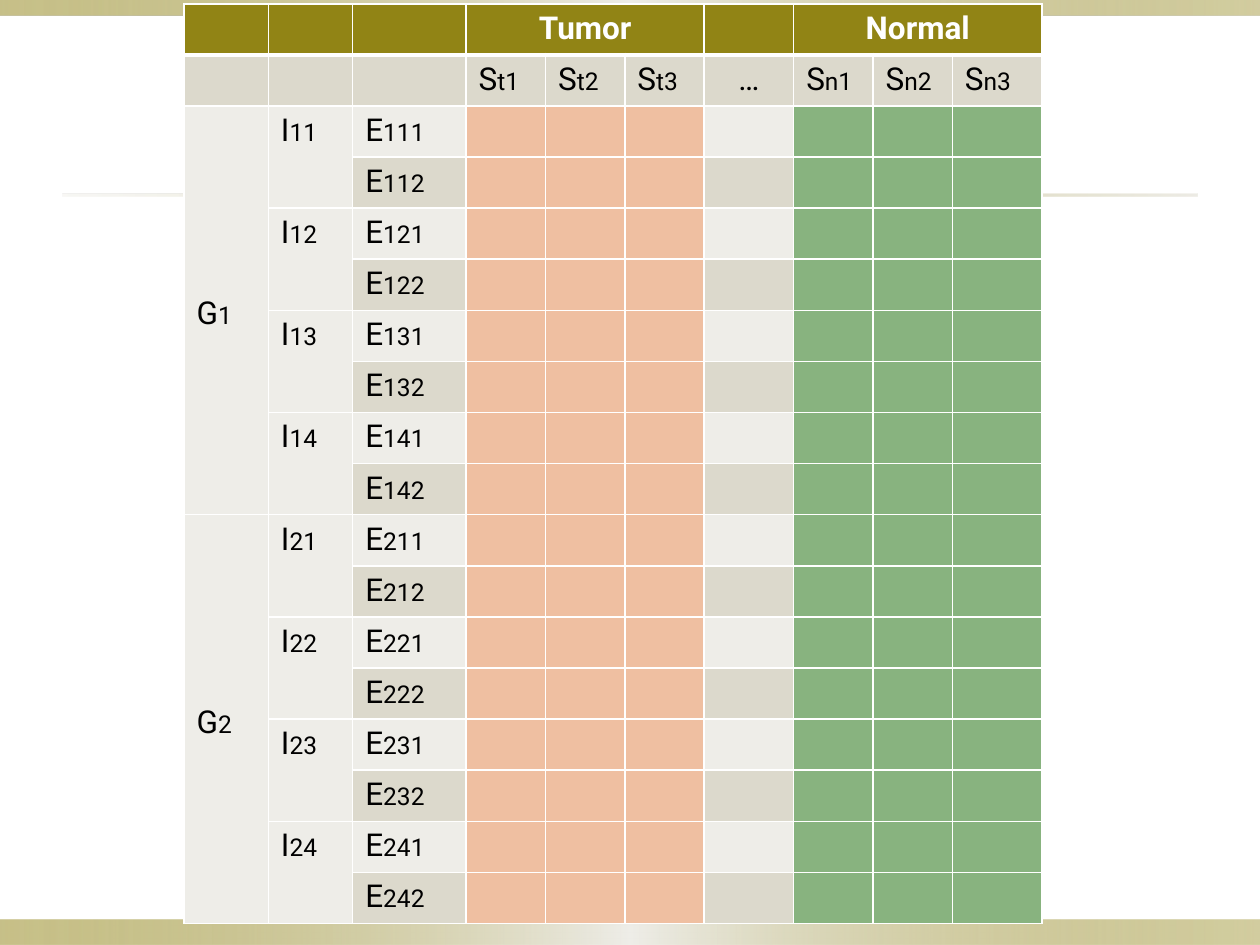
from dataclasses import dataclass

from lxml import etree
from pptx import Presentation
from pptx import util as u
from pptx.dml.color import RGBColor
from pptx.enum import shapes, text
from pptx.oxml import ns


@dataclass(frozen=True)
class Theme:
    font: str = "Roboto"
    large: int = 18
    small: int = 14
    olive: str = "918415"
    light: str = "EEEDE8"
    dark: str = "DCD9CC"
    tumor: str = "EFBFA1"
    normal: str = "88B37F"
    white: str = "FFFFFF"
    black: str = "000000"


theme = Theme()

BAR_STOPS = [(0, theme.olive, 50), (50, theme.light, 100), (100, theme.olive, 40)]
RULE_STOPS = [(0, theme.dark, 20), (50, theme.olive, 40), (100, theme.dark, 50)]
BANDS = [
    ((0, 7.3, 10, 0.2), BAR_STOPS),
    ((0, 0, 10, 0.12), BAR_STOPS),
    ((0.5, 1.54, 9, 0.02), RULE_STOPS),
]
GROUPS = {3: "Tumor", 7: "Normal"}
SAMPLES = {3: "St1", 4: "St2", 5: "St3", 6: "…", 7: "Sn1", 8: "Sn2", 9: "Sn3"}
GENES, ISOFORMS, EXONS = 2, 4, 2
COLUMNS = [0.67, 0.67, 0.9, 0.63, 0.63, 0.63, 0.71, 0.63, 0.63, 0.71]
LEFT, TOP, HEIGHT = 1.46, 0.03, 7.3
ROWS = 2 + GENES * ISOFORMS * EXONS


def add_band(slide, bounds, stops):
    band = slide.shapes.add_shape(shapes.MSO_SHAPE.RECTANGLE, *map(u.Inches, bounds))
    band.shadow.inherit = False
    band.line.fill.background()
    band.fill.gradient()
    band.fill.gradient_angle = 0
    stop_list = band.fill._fill._gradFill.find(ns.qn("a:gsLst"))
    for stop in list(stop_list):
        stop_list.remove(stop)
    for position, color, opacity in stops:
        stop = etree.SubElement(stop_list, ns.qn("a:gs"), pos=str(position * 1000))
        shade = etree.SubElement(stop, ns.qn("a:srgbClr"), val=color)
        etree.SubElement(shade, ns.qn("a:alpha"), val=str(opacity * 1000))


def style_cell(cell, color, top=1, bottom=1):
    properties = cell._tc.get_or_add_tcPr()
    for side, width in (("L", 1), ("R", 1), ("T", top), ("B", bottom)):
        line = etree.SubElement(properties, ns.qn("a:ln" + side), w=str(u.Pt(width)))
        solid = etree.SubElement(line, ns.qn("a:solidFill"))
        etree.SubElement(solid, ns.qn("a:srgbClr"), val=theme.white)
    cell.fill.solid()
    cell.fill.fore_color.rgb = RGBColor.from_string(color)
    cell.margin_top, cell.margin_bottom = u.Inches(0.05), u.Inches(0.03)


def write(cell, parts, color=theme.black, bold=False, centered=False):
    para = cell.text_frame.paragraphs[0]
    if centered:
        para.alignment = text.PP_ALIGN.CENTER
    for content, size in zip(parts, (theme.large, theme.small)):
        span = para.add_run()
        span.text = content
        span.font.name = theme.font
        span.font.size = u.Pt(size)
        span.font.bold = bold
        span.font.color.rgb = RGBColor.from_string(color)


def label(cell, name):
    write(cell, (name[0], name[1:]))


def cell_color(row, column):
    if row == 0:
        return theme.olive
    if row == 1:
        return theme.dark
    if column in (3, 4, 5):
        return theme.tumor
    if column >= 7:
        return theme.normal
    return theme.light if column < 2 or row % 2 == 0 else theme.dark


deck = Presentation()
deck.slide_width, deck.slide_height = u.Inches(10), u.Inches(7.5)
slide = deck.slides.add_slide(deck.slide_layouts[6])
for bounds, stops in BANDS:
    add_band(slide, bounds, stops)

frame = slide.shapes.add_table(
    ROWS, len(COLUMNS), u.Inches(LEFT), u.Inches(TOP),
    u.Inches(sum(COLUMNS)), u.Inches(HEIGHT))
table = frame.table
table.first_row = table.horz_banding = False
for column, width in zip(table.columns, COLUMNS):
    column.width = u.Inches(width)
for row in table.rows:
    row.height = u.Inches(HEIGHT / ROWS)
for row in range(ROWS):
    for column in range(len(COLUMNS)):
        style_cell(table.cell(row, column), cell_color(row, column),
                   top=3 if row == 1 else 1, bottom=3 if row == 0 else 1)

for column, name in GROUPS.items():
    table.cell(0, column).merge(table.cell(0, column + 2))
    write(table.cell(0, column), [name], theme.white, bold=True, centered=True)
for column, name in SAMPLES.items():
    if len(name) == 1:
        write(table.cell(1, column), [name], centered=True)
    else:
        label(table.cell(1, column), name)

for gene in range(GENES):
    gene_row = 2 + gene * ISOFORMS * EXONS
    gene_cell = table.cell(gene_row, 0)
    gene_cell.merge(table.cell(gene_row + ISOFORMS * EXONS - 1, 0))
    gene_cell.vertical_anchor = text.MSO_ANCHOR.MIDDLE
    gene_cell.margin_top = u.Inches(0.09)
    label(gene_cell, f"G{gene + 1}")
    for isoform in range(ISOFORMS):
        isoform_row = gene_row + isoform * EXONS
        isoform_cell = table.cell(isoform_row, 1)
        isoform_cell.merge(table.cell(isoform_row + EXONS - 1, 1))
        label(isoform_cell, f"I{gene + 1}{isoform + 1}")
        for exon in range(EXONS):
            label(table.cell(isoform_row + exon, 2), f"E{gene + 1}{isoform + 1}{exon + 1}")

deck.save("out.pptx")
